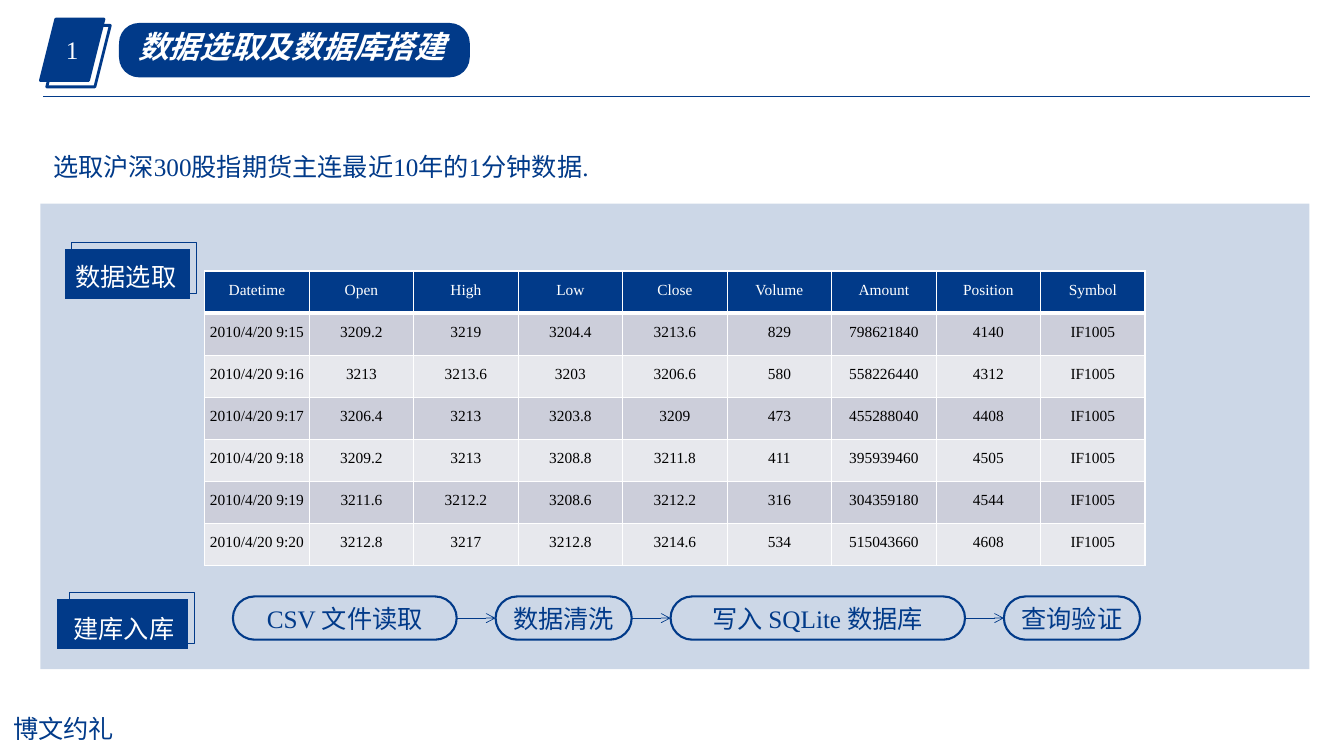
from lxml import etree
from pptx import Presentation
from pptx.dml.color import RGBColor
from pptx.enum.shapes import MSO_CONNECTOR, MSO_SHAPE
from pptx.enum.text import MSO_ANCHOR, PP_ALIGN
from pptx.oxml.ns import qn
from pptx.util import Cm, Pt

NAVY = RGBColor(0x01, 0x3A, 0x89)
WHITE = RGBColor(0xFF, 0xFF, 0xFF)
BLACK = RGBColor(0x00, 0x00, 0x00)
BANDS = (RGBColor(0xCC, 0xCE, 0xDA), RGBColor(0xE7, 0xE8, 0xED))
LATIN_FONT = "Times New Roman"
CHINESE_FONT = "Noto Sans CJK SC"

QUOTES = [
    ("Datetime", "Open", "High", "Low", "Close", "Volume", "Amount", "Position", "Symbol"),
    ("2010/4/20 9:15", "3209.2", "3219", "3204.4", "3213.6", "829", "798621840", "4140", "IF1005"),
    ("2010/4/20 9:16", "3213", "3213.6", "3203", "3206.6", "580", "558226440", "4312", "IF1005"),
    ("2010/4/20 9:17", "3206.4", "3213", "3203.8", "3209", "473", "455288040", "4408", "IF1005"),
    ("2010/4/20 9:18", "3209.2", "3213", "3208.8", "3211.8", "411", "395939460", "4505", "IF1005"),
    ("2010/4/20 9:19", "3211.6", "3212.2", "3208.6", "3212.2", "316", "304359180", "4544", "IF1005"),
    ("2010/4/20 9:20", "3212.8", "3217", "3212.8", "3214.6", "534", "515043660", "4608", "IF1005"),
]
# Label and width of each step
STEPS = [("CSV 文件读取", 5.64), ("数据清洗", 3.43), ("写入 SQLite 数据库", 7.42), ("查询验证", 3.43)]


def write(frame, text, color, size=18, align=PP_ALIGN.CENTER, spacing=None,
          strong=False, font=LATIN_FONT):
    paragraph = frame.paragraphs[0]
    paragraph.text = text
    paragraph.alignment = align
    if spacing:
        paragraph.line_spacing = spacing
    run = paragraph.runs[0]
    run.font.name, run.font.size = font, Pt(size)
    run.font.color.rgb = color
    if strong:
        run.font.bold = run.font.italic = True
    etree.SubElement(run.font._element, qn("a:ea"), typeface=CHINESE_FONT)


def add_box(slide, kind, left, top, width, height, fill=None, line=None, corner=None):
    box = slide.shapes.add_shape(kind, Cm(left), Cm(top), Cm(width), Cm(height))
    box.shadow.inherit = False
    if corner is not None:
        box.adjustments[0] = corner
    if fill is None:
        box.fill.background()
    else:
        box.fill.solid()
        box.fill.fore_color.rgb = fill
    if line is None:
        box.line.fill.background()
    else:
        box.line.color.rgb = NAVY
        box.line.width = Pt(line)
    return box


def add_label(slide, left, top, width, height, text, color, wrap=True, **style):
    label = slide.shapes.add_textbox(Cm(left), Cm(top), Cm(width), Cm(height))
    label.text_frame.word_wrap = wrap
    write(label.text_frame, text, color, **style)


def add_line(slide, x1, y1, x2, y2, width):
    line = slide.shapes.add_connector(MSO_CONNECTOR.STRAIGHT, Cm(x1), Cm(y1), Cm(x2), Cm(y2))
    line.line.color.rgb = NAVY
    line.line.width = Pt(width)
    etree.SubElement(line._element.spPr, qn("a:effectLst"))
    return line


def add_header(slide, left, top, width):
    # Section number with its offset outline
    number = add_box(slide, MSO_SHAPE.PARALLELOGRAM, left, top, 1.6, 1.55, NAVY, 2)
    number.text_frame.vertical_anchor = MSO_ANCHOR.MIDDLE
    write(number.text_frame, "1", WHITE)
    add_box(slide, MSO_SHAPE.PARALLELOGRAM, left + 0.16, top + 0.16, 1.6, 1.55, line=2)
    # Rule and title
    add_line(slide, left + 0.07, top + 1.94, left + width, top + 1.94, 0.75)
    add_box(slide, MSO_SHAPE.ROUNDED_RECTANGLE, left + 1.98, top + 0.1, 8.84, 1.37, NAVY, corner=0.37)
    add_label(slide, left + 2.21, top + 0.1, 8.84, 1.19, "数据选取及数据库搭建", WHITE,
              size=22, align=PP_ALIGN.LEFT, strong=True)


def add_panel(slide, left, top, width, height):
    panel = add_box(slide, MSO_SHAPE.RECTANGLE, left, top, width, height, NAVY)
    tint = panel._element.spPr.find(qn("a:solidFill"))[0]
    etree.SubElement(tint, qn("a:alpha"), val="20000")


def add_tag(slide, left, top, width, height, text, outline_left, text_left, text_top):
    """Filled tag with an outline of 3.15 cm behind it."""
    add_box(slide, MSO_SHAPE.PARALLELOGRAM, outline_left, top - 0.15, 3.15, height,
            line=0.75, corner=0)
    add_box(slide, MSO_SHAPE.PARALLELOGRAM, left, top, width, height, NAVY, corner=0)
    add_label(slide, text_left, text_top, 3.05, 1.17, text, WHITE, wrap=False, spacing=1.2)


def add_cell_borders(cell, header):
    for side in ("lnL", "lnR", "lnT", "lnB"):
        width = Pt(3) if header and side == "lnB" else Pt(1)
        border = etree.SubElement(cell._tc.get_or_add_tcPr(), qn(f"a:{side}"), w=str(width))
        paint = etree.SubElement(border, qn("a:solidFill"))
        etree.SubElement(paint, qn("a:srgbClr"), val=str(WHITE))


def add_quotes(slide, left, top, width, height):
    quotes = slide.shapes.add_table(len(QUOTES), len(QUOTES[0]), Cm(left), Cm(top),
                                    Cm(width), Cm(height)).table
    for r, record in enumerate(QUOTES):
        header = r == 0
        for c, value in enumerate(record):
            cell = quotes.cell(r, c)
            add_cell_borders(cell, header)
            cell.fill.solid()
            cell.fill.fore_color.rgb = NAVY if header else BANDS[(r - 1) % 2]
            cell.margin_left = cell.margin_right = cell.margin_top = Cm(0.03)
            cell.margin_bottom = Cm(0.13)
            cell.vertical_anchor = MSO_ANCHOR.MIDDLE
            write(cell.text_frame, value, WHITE if header else BLACK, size=11)


def add_flow(slide, left, top, height, gap):
    previous = None
    for text, width in STEPS:
        step = add_box(slide, MSO_SHAPE.ROUNDED_RECTANGLE, left, top, width, height,
                       line=1.5, corner=0.5)
        frame = step.text_frame
        frame.word_wrap = True
        frame.vertical_anchor = MSO_ANCHOR.MIDDLE
        frame.margin_left = frame.margin_right = Cm(0.2)
        frame.margin_top = frame.margin_bottom = 0
        write(frame, text, NAVY)
        if previous is not None:
            middle = top + height / 2
            arrow = add_line(slide, left - gap, middle, left, middle, 0.5)
            arrow.begin_connect(previous, 3)
            arrow.end_connect(step, 1)
            etree.SubElement(arrow.line._get_or_add_ln(), qn("a:tailEnd"), type="arrow")
        previous = step
        left += width + gap


def main():
    deck = Presentation()
    deck.slide_width, deck.slide_height = Cm(33.87), Cm(19.05)
    slide = deck.slides.add_slide(deck.slide_layouts[6])

    # Footer motto
    add_label(slide, 0.08, 17.86, 8.99, 1.02, "博文约礼", NAVY,
              align=PP_ALIGN.LEFT, font=CHINESE_FONT)
    add_header(slide, 1.02, 0.48, 32)
    add_panel(slide, 1.02, 5.13, 31.98, 11.73)
    # Introduction
    add_label(slide, 1.09, 3.3, 31.5, 1.4, "选取沪深300股指期货主连最近10年的1分钟数据.", NAVY,
              align=PP_ALIGN.JUSTIFY, spacing=1.5)
    # Data selection
    add_tag(slide, 1.65, 6.27, 3.15, 1.27, "数据选取", 1.8, 1.65, 6.32)
    add_quotes(slide, 5.16, 6.83, 23.7, 7.42)
    # Database loading
    add_tag(slide, 1.45, 15.09, 3.3, 1.27, "建库入库", 1.75, 1.6, 15.19)
    add_flow(slide, 5.87, 15.03, 1.09, 0.98)

    deck.save("out.pptx")


if __name__ == "__main__":
    main()
